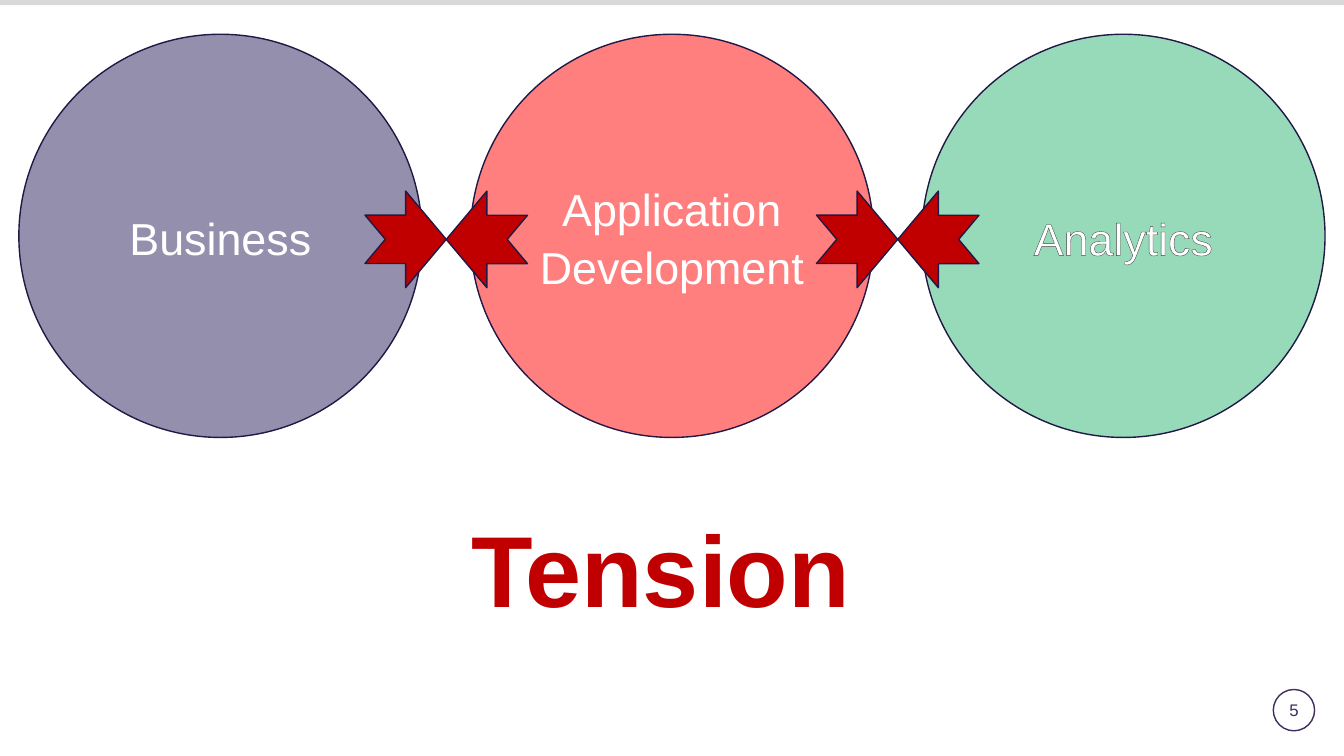
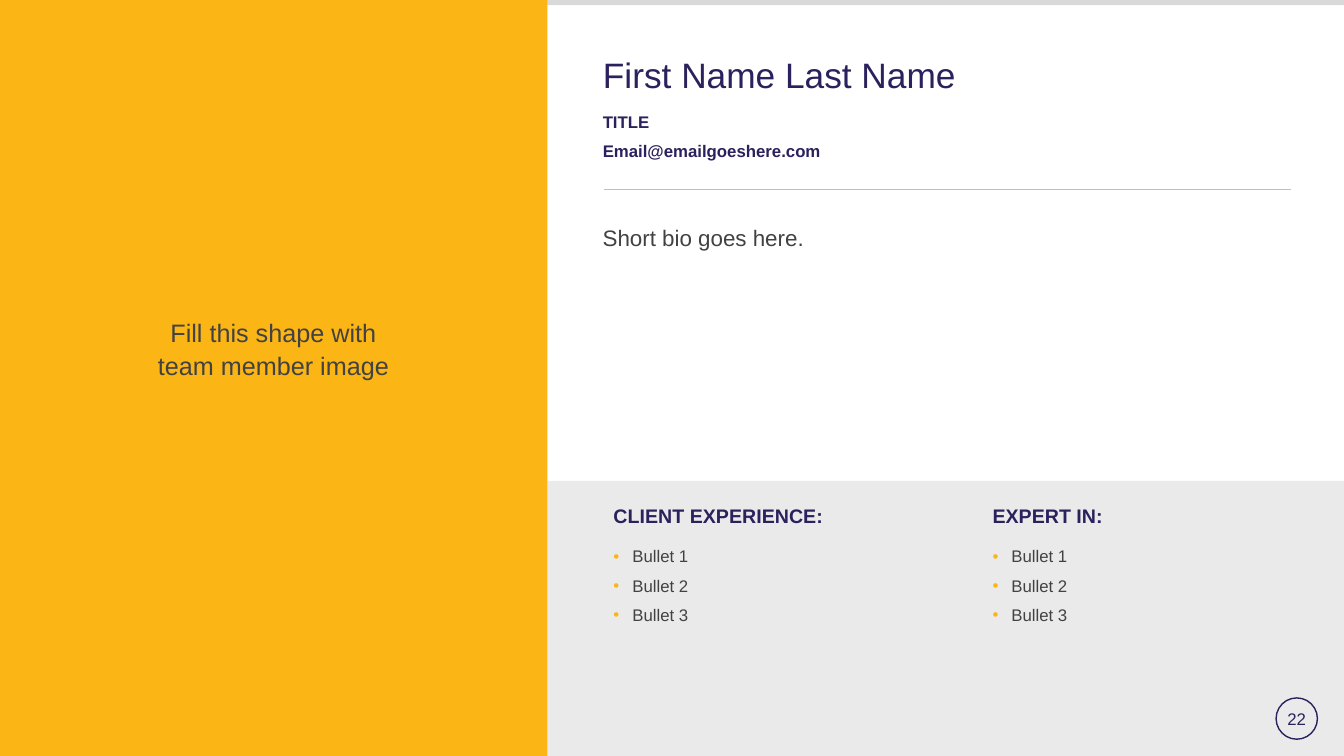
from lxml.etree import SubElement
from pptx import Presentation
from pptx.dml.color import RGBColor
from pptx.enum.shapes import MSO_CONNECTOR, MSO_SHAPE
from pptx.enum.text import MSO_ANCHOR, MSO_AUTO_SIZE, PP_ALIGN
from pptx.oxml.ns import qn
from pptx.util import Pt

COLORS = {
    "navy": "2B215D", "edge": "201845", "plum": "412D5D", "red": "FF0000",
    "green": "30B676", "dark": "C00000", "gold": "FBB515", "text": "424242",
    "white": "FFFFFF", "band": "D9D9D9", "panel": "EAEAEA", "rule": "BFBFBF",
}
FONT = "Arial"
WIDTH, HEIGHT = 960, 540
LEADING = 1.07

# label, fill colour, text outline
CIRCLES = [
    ("Business", "navy", None),
    ("Application Development", "red", None),
    ("Analytics", "green", ("text", 0.75)),
]
THEME = "Tension"

NAME = "First Name Last Name"
DETAILS = ["TITLE", "Email@emailgoeshere.com"]
BIO = "Short bio goes here."
PROMPT = "Fill this shape with team member image"
LISTS = [
    ("CLIENT EXPERIENCE:", ["Bullet 1", "Bullet 2", "Bullet 3"]),
    ("EXPERT IN:", ["Bullet 1", "Bullet 2", "Bullet 3"]),
]


def rgb(name):
    return RGBColor.from_string(COLORS[name])


def place(shape, x, y, w, h):
    shape.left, shape.top, shape.width, shape.height = Pt(x), Pt(y), Pt(w), Pt(h)


def bullet(para):
    props = para._p.get_or_add_pPr()
    props.set("marL", str(Pt(13.5)))
    props.set("indent", str(-Pt(13.5)))
    tint = SubElement(props, qn("a:buClr"))
    SubElement(tint, qn("a:srgbClr"), val=COLORS["gold"])
    SubElement(props, qn("a:buFont"), typeface=FONT)
    SubElement(props, qn("a:buChar"), char="•")


def outline(run, color, width):
    props = run._r.get_or_add_rPr()
    line = SubElement(props, qn("a:ln"), w=str(Pt(width)))
    fill = SubElement(line, qn("a:solidFill"))
    SubElement(fill, qn("a:srgbClr"), val=COLORS[color])
    props.insert(0, line)


def write(shape, lines, size, color, bold=False, align=PP_ALIGN.LEFT,
          anchor=MSO_ANCHOR.TOP, lead=LEADING, after=0, inset=None,
          marks=False, edge=None, wrap=True):
    frame = shape.text_frame
    frame.text = "\n".join(lines)
    frame.word_wrap = wrap
    frame.auto_size = MSO_AUTO_SIZE.NONE
    frame.vertical_anchor = anchor
    side, top = (7.2, 3.6) if inset is None else (inset, inset)
    frame.margin_left = frame.margin_right = Pt(side)
    frame.margin_top = frame.margin_bottom = Pt(top)
    for para in frame.paragraphs:
        if marks:
            bullet(para)
        para.alignment = align
        para.line_spacing = lead
        para.space_before = Pt(0)
        para.space_after = Pt(after)
        for run in para.runs:
            font = run.font
            font.name, font.size, font.bold = FONT, Pt(size), bold
            font.color.rgb = rgb(color)
            if edge:
                outline(run, *edge)


def label(slide, box, lines, size, color, **style):
    shape = slide.shapes.add_textbox(*map(Pt, box))
    write(shape, lines, size, color, **style)


def fill_in(slide, index, box, lines, size, color, **style):
    """Move a placeholder to its place, in front of the panels, and fill it."""
    shape = slide.placeholders[index]
    slide.shapes._spTree.append(shape._element)
    place(shape, *box)
    write(shape, lines, size, color, **style)


def draw(slide, kind, box, fill=None, line=None, alpha=None):
    shape = slide.shapes.add_shape(kind, *map(Pt, box))
    shape.shadow.inherit = False
    if fill:
        shape.fill.solid()
        shape.fill.fore_color.rgb = rgb(fill)
    else:
        shape.fill.background()
    if alpha:
        tint = shape._element.spPr.find(qn("a:solidFill"))[0]
        SubElement(tint, qn("a:alpha"), val=str(alpha * 1000))
    if line:
        shape.line.color.rgb = rgb(line)
        shape.line.width = Pt(1)
    else:
        shape.line.fill.background()
    return shape


def start(deck, layout):
    slide = deck.slides.add_slide(deck.slide_layouts[layout])
    draw(slide, MSO_SHAPE.RECTANGLE, (0, 0, WIDTH, 3.6), "band")
    return slide


def badge(slide, x, y, number, color):
    ring = draw(slide, MSO_SHAPE.OVAL, (x, y, 29.5, 29.5), line=color)
    write(ring, [number], 12, color, align=PP_ALIGN.CENTER,
          anchor=MSO_ANCHOR.MIDDLE, lead=1, inset=0, wrap=False)


def tension(deck):
    slide = start(deck, 5)
    left, top, size, step = 13.5, 24.5, 288, 322.5
    for i, (text, fill, edge) in enumerate(CIRCLES):
        circle = draw(slide, MSO_SHAPE.OVAL, (left + i * step, top, size, size),
                      fill, "edge", 50)
        write(circle, [text], 32, "white", align=PP_ALIGN.CENTER,
              anchor=MSO_ANCHOR.MIDDLE, inset=0, edge=edge)

    wide, high = 58, 69
    for i in range(len(CIRCLES) - 1):
        meet = left + i * step + (size + step) / 2
        for x, turn in ((meet - wide, 0), (meet, 180)):
            arrow = draw(slide, MSO_SHAPE.NOTCHED_RIGHT_ARROW,
                         (x, 136.5, wide, high), "dark", "edge")
            arrow.rotation = turn

    fill_in(slide, 0, (328, 352, 288, 94), [THEME], 72, "dark", bold=True,
            align=PP_ALIGN.CENTER, edge=("navy", 1), wrap=False)
    badge(slide, 909.5, 492.5, "5", "plum")


def profile(deck):
    slide = start(deck, 4)
    split, floor = 391, 343.5
    draw(slide, MSO_SHAPE.RECTANGLE,
         (split, floor, WIDTH - split, HEIGHT - floor), "panel")
    draw(slide, MSO_SHAPE.RECTANGLE, (0, 0, split, HEIGHT), "gold")
    label(slide, (98, 224, 194.5, 49), [PROMPT], 18, "text",
          align=PP_ALIGN.CENTER, anchor=MSO_ANCHOR.MIDDLE)

    fill_in(slide, 0, (423.5, 34.5, 438.5, 34.5), [NAME], 25.2, "navy", lead=1)
    for i, text in enumerate(DETAILS):
        label(slide, (423.5, 75 + i * 21, 360, 21.5), [text], 12, "navy",
              bold=True)

    rule = slide.shapes.add_connector(
        MSO_CONNECTOR.STRAIGHT, Pt(431.5), Pt(135.5), Pt(922), Pt(135.5))
    rule.line.color.rgb = rgb("rule")
    rule.line.width = Pt(0.5)
    SubElement(rule._element.spPr, qn("a:effectLst"))
    label(slide, (430.5, 155, 492, 168.5), [BIO], 16, "text",
          lead=Pt(24), inset=0)

    for i, (head, items) in enumerate(LISTS):
        x = 431 + i * 270.75
        fill_in(slide, 2 * i + 1, (x, 355.5, 179, 24.5), [head], 14, "navy",
                bold=True)
        fill_in(slide, 2 * i + 2, (x + 7.2, 391.5, 203, 69), items, 12, "text",
                lead=Pt(13), after=8, inset=0, marks=True)
    badge(slide, 911.5, 498.5, "22", "navy")


def main():
    deck = Presentation()
    deck.slide_width, deck.slide_height = Pt(WIDTH), Pt(HEIGHT)
    tension(deck)
    profile(deck)
    deck.save("out.pptx")


if __name__ == "__main__":
    main()
